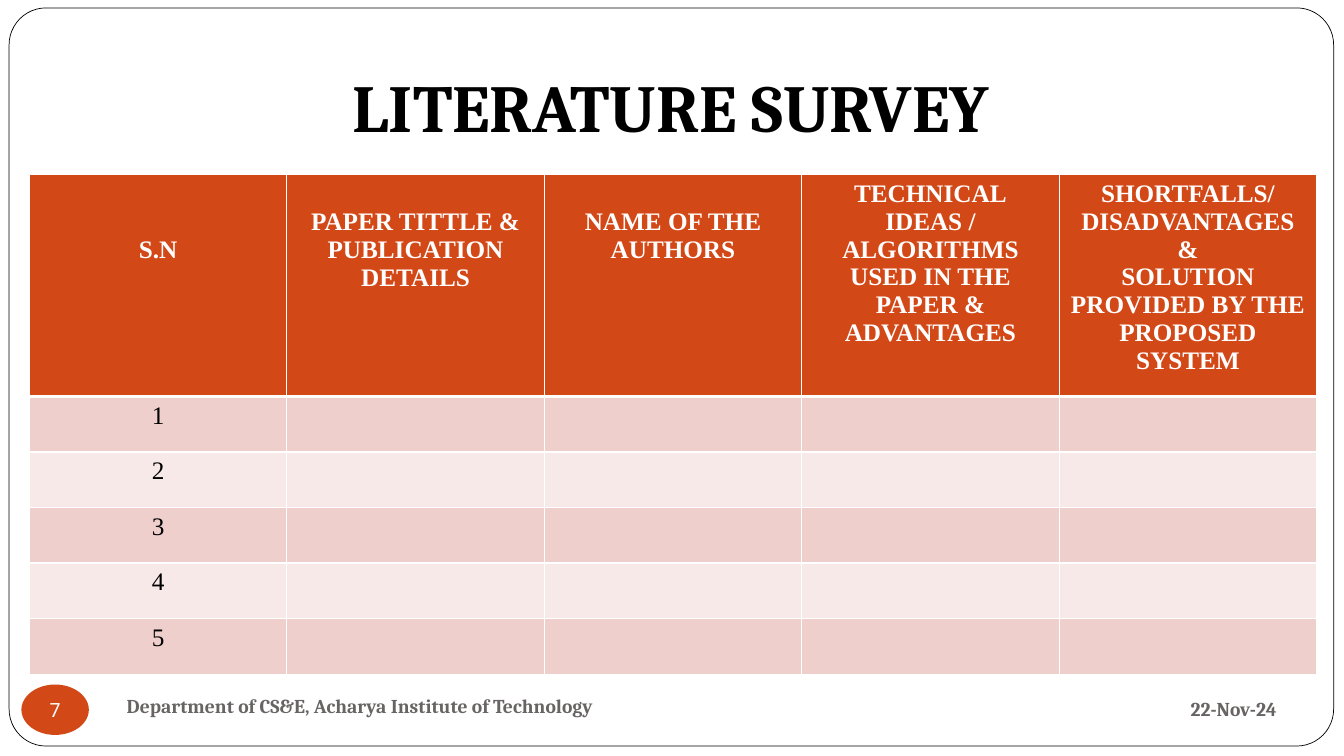
from lxml.etree import SubElement
from pptx import Presentation
from pptx.dml.color import RGBColor
from pptx.enum.shapes import MSO_SHAPE
from pptx.enum.text import MSO_ANCHOR, PP_ALIGN
from pptx.oxml.ns import qn
from pptx.util import Cm, Pt

ORANGE, WHITE, BLACK, GREY = "D34817", "FFFFFF", "000000", "696464"
BANDS = ("EFCFCC", "F7E9E8")
HEADERS = [  # lines of text, number of line heights above them
    ("S.N", 2),
    ("PAPER TITTLE &\nPUBLICATION DETAILS", 1),
    ("NAME OF THE AUTHORS", 1),
    ("TECHNICAL\nIDEAS / ALGORITHMS USED IN THE PAPER & ADVANTAGES", 0),
    ("SHORTFALLS/DISADVANTAGES &\nSOLUTION PROVIDED BY THE PROPOSED SYSTEM", 0),
]
PAPER_COUNT = 5
LINE_HEIGHT, CELL_MARGIN = 0.71, 0.13
HEADER_FORMAT = dict(name="Times New Roman", size=Pt(18), bold=True)
NUMBER_FORMAT = dict(HEADER_FORMAT, bold=False)
TITLE_FORMAT = dict(name="Cambria", size=Pt(48), bold=True)
FOOTER_FORMAT = dict(TITLE_FORMAT, size=Pt(14))
PAGE_FORMAT = dict(name="Roboto", size=Pt(14), bold=False)


def rgb(color):
    return RGBColor.from_string(color)


def write(tf, text, color, fmt):
    """Fill a text frame with centred paragraphs, one for each line of text."""
    for i, line in enumerate(text.split("\n")):
        p = tf.add_paragraph() if i else tf.paragraphs[0]
        p.alignment = PP_ALIGN.CENTER
        r = p.add_run()
        r.text = line
        r.font.color.rgb = rgb(color)
        for key, value in fmt.items():
            setattr(r.font, key, value)


def add_text(s, box, text, color, fmt, anchor=MSO_ANCHOR.MIDDLE):
    tf = s.shapes.add_textbox(*map(Cm, box)).text_frame
    tf.word_wrap = True
    tf.vertical_anchor = anchor
    write(tf, text, color, fmt)
    return tf


def add_shape(s, kind, box, fill, line=None):
    sp = s.shapes.add_shape(kind, *map(Cm, box))
    sp.shadow.inherit = False
    sp.fill.solid()
    sp.fill.fore_color.rgb = rgb(fill)
    if line:
        sp.line.color.rgb = rgb(line)
        sp.line.width = Pt(0.5)
    else:
        sp.line.fill.background()
    return sp


def style_cell(cell, fill, bottom=1):
    """Set white borders, then the fill, in the order the schema needs."""
    tcPr = cell._tc.get_or_add_tcPr()
    for side, width in dict(lnL=1, lnR=1, lnT=1, lnB=bottom).items():
        ln = SubElement(tcPr, qn(f"a:{side}"), w=str(Pt(width)))
        SubElement(SubElement(ln, qn("a:solidFill")), qn("a:srgbClr"), val=WHITE)
    cell.fill.solid()
    cell.fill.fore_color.rgb = rgb(fill)


def add_survey_table(s):
    box = map(Cm, (0.74, 4.4, 32.44, 12.55))
    table = s.shapes.add_table(PAPER_COUNT + 1, len(HEADERS), *box).table
    for i, row in enumerate(table.rows):
        row.height = Cm(1.4 if i else 5.55)
    for col, (text, lines_above) in enumerate(HEADERS):
        cell = table.cell(0, col)
        style_cell(cell, ORANGE, bottom=3)
        cell.margin_top = Cm(CELL_MARGIN + lines_above * LINE_HEIGHT)
        write(cell.text_frame, text, WHITE, HEADER_FORMAT)
        for row in range(1, PAPER_COUNT + 1):
            style_cell(table.cell(row, col), BANDS[(row - 1) % 2])
    for row in range(1, PAPER_COUNT + 1):
        write(table.cell(row, 0).text_frame, str(row), BLACK, NUMBER_FORMAT)


def add_page_number(s, number):
    tf = add_shape(s, MSO_SHAPE.OVAL, (0.54, 17.25, 1.7, 1.27), ORANGE).text_frame
    tf.margin_left = tf.margin_right = tf.margin_top = tf.margin_bottom = 0
    tf.word_wrap = False
    tf.vertical_anchor = MSO_ANCHOR.MIDDLE
    write(tf, number, WHITE, PAGE_FORMAT)


def main():
    prs = Presentation()
    prs.slide_width, prs.slide_height = Cm(33.87), Cm(19.05)
    s = prs.slides.add_slide(prs.slide_layouts[6])
    frame = add_shape(s, MSO_SHAPE.ROUNDED_RECTANGLE, (0.23, 0.2, 33.38, 18.6),
                      WHITE, BLACK)
    frame.adjustments[0] = 0.05
    title = add_text(s, (0.46, 0.76, 32.9, 3.18), "LITERATURE SURVEY",
                     BLACK, TITLE_FORMAT, MSO_ANCHOR.BOTTOM)
    title.margin_bottom = Cm(0.25)
    add_text(s, (29.57, 17.2, 3.05, 1.32), "22-Nov-24", GREY, FOOTER_FORMAT)
    add_text(s, (2.46, 17.15, 13.23, 1.27),
             "Department of CS&E, Acharya Institute of Technology", GREY, FOOTER_FORMAT)
    add_page_number(s, "7")
    add_survey_table(s)
    prs.save("out.pptx")


if __name__ == "__main__":
    main()
